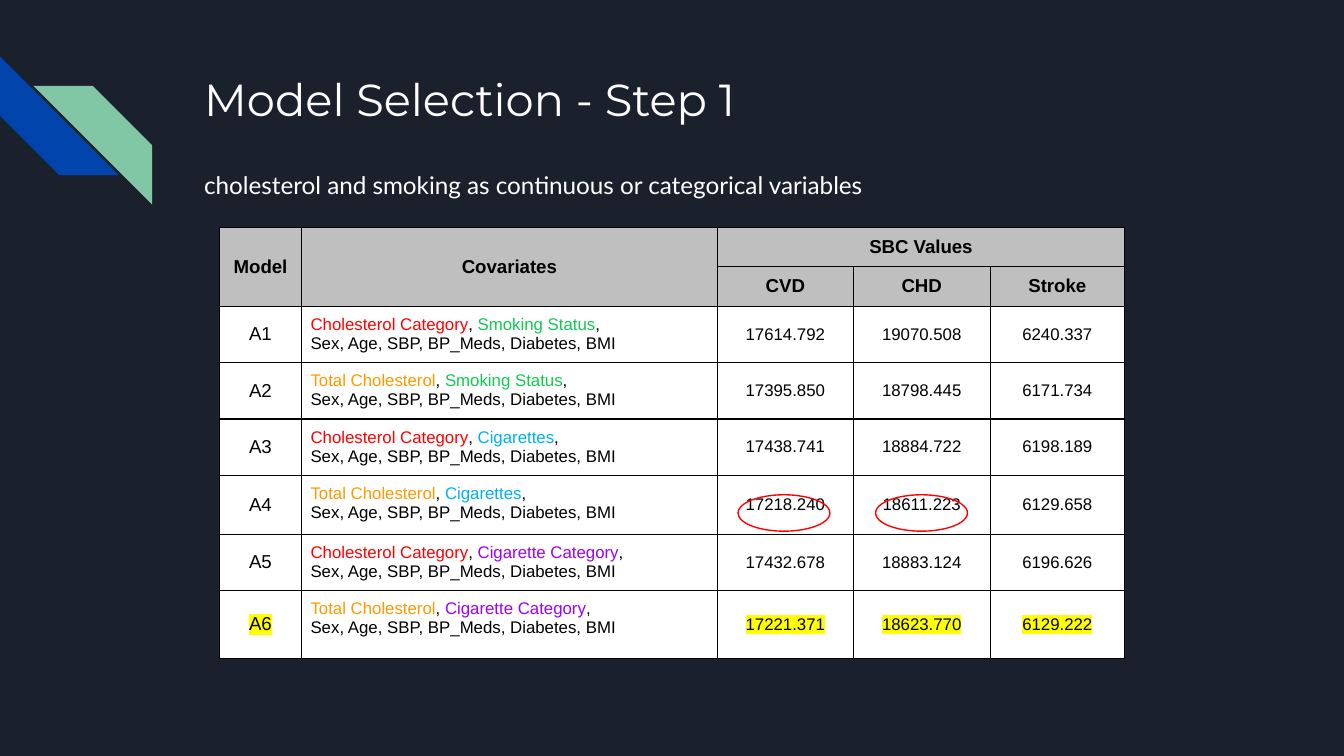
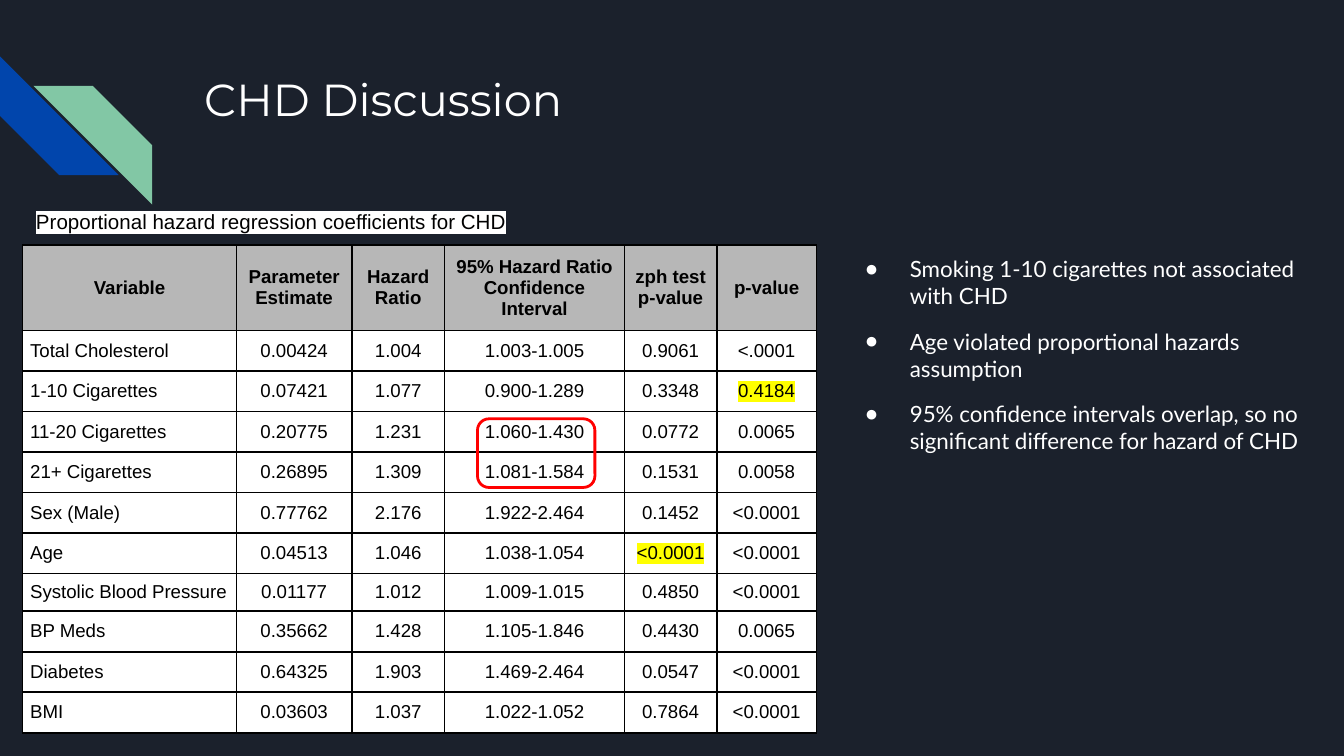
import pptx
import pptx.dml.color
import pptx.enum.shapes
import pptx.enum.text
import pptx.oxml
import pptx.oxml.ns
import pptx.util
from dataclasses import dataclass

Pt = pptx.util.Pt
RGB = pptx.dml.color.RGBColor.from_string
SHAPE = pptx.enum.shapes.MSO_SHAPE
ALIGN = pptx.enum.text.PP_ALIGN
ANCHOR = pptx.enum.text.MSO_ANCHOR
NS = pptx.oxml.ns.nsdecls("a")


@dataclass(frozen=True)
class Theme:
    background: str = "1B212C"
    blue: str = "0145AC"
    green: str = "82C7A5"
    white: str = "FFFFFF"
    black: str = "000000"
    red: str = "FF0000"
    yellow: str = "FFFF00"
    orange: str = "FF9900"
    smoking: str = "11CA51"
    cigarettes: str = "00B0F0"
    purple: str = "9900FF"
    sbc_header: str = "BFBFBF"
    chd_header: str = "B7B7B7"
    title_font: str = "Montserrat"
    body_font: str = "Lato"
    table_font: str = "Arial"
    title_size: float = 24
    lead_size: float = 13
    list_size: float = 12
    label_size: float = 11
    table_size: float = 10
    value_size: float = 9


T = Theme()


def add_run(p, text, size, font, color, bold=False, highlight=None):
    r = p.add_run()
    r.text = text
    r.font.size = Pt(size)
    r.font.name = font
    r.font.bold = bold
    r.font.color.rgb = RGB(color)
    if highlight:
        fill = r.font._element.find(pptx.oxml.ns.qn("a:solidFill"))
        fill.addnext(pptx.oxml.parse_xml(
            f'<a:highlight {NS}><a:srgbClr val="{highlight}"/></a:highlight>'))


def format_cell(cell, lines, size, fill, inset, border, align=ALIGN.CENTER,
                anchor=ANCHOR.MIDDLE, bold=False, highlight=None):
    cell.fill.solid()
    cell.fill.fore_color.rgb = RGB(fill)
    cell.vertical_anchor = anchor
    cell.margin_left = cell.margin_right = Pt(inset)
    cell.margin_top = cell.margin_bottom = Pt(inset)
    tcPr = cell._tc.get_or_add_tcPr()
    for i, side in enumerate(("lnL", "lnR", "lnT", "lnB")):
        tcPr.insert(i, pptx.oxml.parse_xml(
            f'<a:{side} {NS} w="{Pt(border)}"><a:solidFill>'
            f'<a:srgbClr val="{T.black}"/></a:solidFill></a:{side}>'))
    tf = cell.text_frame
    for i, runs in enumerate(lines):
        p = tf.add_paragraph() if i else tf.paragraphs[0]
        p.alignment = align
        for text, color in runs:
            add_run(p, text, size, T.table_font, color, bold, highlight)


prs = pptx.Presentation()
prs.slide_width, prs.slide_height = Pt(720), Pt(405)
prs.slide_master.background.fill.solid()
prs.slide_master.background.fill.fore_color.rgb = RGB(T.background)
layout = prs.slide_layouts[1]
title = layout.placeholders[0]
title.left, title.top, title.width, title.height = Pt(102.2), Pt(31), Pt(554.4), Pt(72)

slides = []
for heading in ("Model Selection - Step 1", "CHD Discussion"):
    s = prs.slides.add_slide(layout)
    tf = s.shapes.title.text_frame
    tf.vertical_anchor = ANCHOR.TOP
    for tf in (tf, s.placeholders[1].text_frame):
        tf.auto_size = pptx.enum.text.MSO_AUTO_SIZE.NONE
        tf.word_wrap = True
        tf.margin_left = tf.margin_right = Pt(7.2)
        tf.margin_top = tf.margin_bottom = Pt(7.2)
    p = s.shapes.title.text_frame.paragraphs[0]
    p.alignment = ALIGN.LEFT
    add_run(p, heading, T.title_size, T.title_font, T.white)
    slides.append(s)
selection, discussion = slides

for i, (x, y, color) in enumerate(((0, 30.2, T.blue), (18, 46.1, T.green))):
    sp = selection.shapes.add_shape(SHAPE.DIAGONAL_STRIPE, Pt(x), Pt(y), Pt(63.6), Pt(63.6))
    sp.adjustments[0] = 0.5
    sp.shadow.inherit = False
    sp.fill.solid()
    sp.fill.fore_color.rgb = RGB(color)
    sp.line.fill.background()
    if color == T.blue:
        sp.rotation = 270
    else:
        sp.element.spPr.get_or_add_xfrm().set("flipH", "1")
    layout.shapes.element.insert(2 + i, sp.element)

body = selection.placeholders[1]
body.left, body.top, body.width, body.height = Pt(102.2), Pt(81.4), Pt(554.4), Pt(229)
p = body.text_frame.paragraphs[0]
pPr = p._p.get_or_add_pPr()
pPr.set("marL", "0")
pPr.set("indent", "0")
pPr.append(pptx.oxml.parse_xml(f"<a:buNone {NS}/>"))
p.alignment = ALIGN.LEFT
p.line_spacing = 1.15
p.space_before, p.space_after = Pt(0), Pt(12)
add_run(p, "cholesterol and smoking as continuous or categorical variables",
        T.lead_size, T.body_font, T.white)

body = discussion.placeholders[1]
body.left, body.top, body.width, body.height = Pt(444.2), Pt(129.6), Pt(275.8), Pt(147)
tf = body.text_frame
for i, text in enumerate((
        "Smoking 1-10 cigarettes not associated with CHD",
        "Age violated proportional hazards assumption",
        "95% confidence intervals overlap, so no significant difference for hazard of CHD")):
    p = tf.add_paragraph() if i else tf.paragraphs[0]
    pPr = p._p.get_or_add_pPr()
    pPr.set("marL", str(Pt(36)))
    pPr.set("indent", str(Pt(-24)))
    pPr.append(pptx.oxml.parse_xml(
        f'<a:buClr {NS}><a:srgbClr val="{T.white}"/></a:buClr>'))
    pPr.append(pptx.oxml.parse_xml(f'<a:buChar {NS} char="●"/>'))
    p.alignment = ALIGN.LEFT
    p.space_before = Pt(10 if i else 0)
    add_run(p, text, T.list_size, T.body_font, T.white)

sp = discussion.shapes.add_textbox(Pt(12.2), Pt(103), Pt(318.2), Pt(28))
tf = sp.text_frame
tf.word_wrap = True
tf.margin_left = tf.margin_right = tf.margin_top = tf.margin_bottom = Pt(7.2)
p = tf.paragraphs[0]
p.line_spacing = 1.15
add_run(p, "Proportional hazard regression coefficients for CHD",
        T.label_size, T.table_font, T.black, highlight=T.white)

cholesterol = (("Cholesterol Category", T.red), ("Total Cholesterol", T.orange))
smoking = (("Smoking Status", T.smoking), ("Cigarettes", T.cigarettes),
           ("Cigarette Category", T.purple))
sbc_values = (
    ("17614.792", "19070.508", "6240.337"),
    ("17395.850", "18798.445", "6171.734"),
    ("17438.741", "18884.722", "6198.189"),
    ("17218.240", "18611.223", "6129.658"),
    ("17432.678", "18883.124", "6196.626"),
    ("17221.371", "18623.770", "6129.222"),
)
sbc_headers = (("Model", "Covariates", "SBC Values", "", ""),
               ("", "", "CVD", "CHD", "Stroke"))
sbc_widths = (43.9, 222.8, 72.9, 73.3, 72)
sbc_heights = (21.2, 21.2, 30.2, 30.2, 30.2, 31.6, 30.2, 36.2)

chd_headers = ("Variable", "Parameter Estimate", "Hazard Ratio",
               "95% Hazard Ratio Confidence Interval", "zph test p-value", "p-value")
chd_rows = (
    ("Total Cholesterol", "0.00424", "1.004", "1.003-1.005", "0.9061", "<.0001"),
    ("1-10 Cigarettes", "0.07421", "1.077", "0.900-1.289", "0.3348", "0.4184"),
    ("11-20 Cigarettes", "0.20775", "1.231", "1.060-1.430", "0.0772", "0.0065"),
    ("21+ Cigarettes", "0.26895", "1.309", "1.081-1.584", "0.1531", "0.0058"),
    ("Sex (Male)", "0.77762", "2.176", "1.922-2.464", "0.1452", "<0.0001"),
    ("Age", "0.04513", "1.046", "1.038-1.054", "<0.0001", "<0.0001"),
    ("Systolic Blood Pressure", "0.01177", "1.012", "1.009-1.015", "0.4850", "<0.0001"),
    ("BP Meds", "0.35662", "1.428", "1.105-1.846", "0.4430", "0.0065"),
    ("Diabetes", "0.64325", "1.903", "1.469-2.464", "0.0547", "<0.0001"),
    ("BMI", "0.03603", "1.037", "1.022-1.052", "0.7864", "<0.0001"),
)
chd_widths = (114.5, 61.9, 49.7, 96.3, 49.5, 53.4)
chd_heights = (46,) + (21.7,) * 6 + (20.1,) + (21.7,) * 3

tables = []
for s, x, y, widths, heights in ((selection, 117.6, 121.7, sbc_widths, sbc_heights),
                                 (discussion, 12.1, 131.2, chd_widths, chd_heights)):
    table = s.shapes.add_table(len(heights), len(widths), Pt(x), Pt(y),
                               Pt(sum(widths)), Pt(sum(heights))).table
    table.first_row = table.horz_banding = False
    for col, width in zip(table.columns, widths):
        col.width = Pt(width)
    for row, height in zip(table.rows, heights):
        row.height = Pt(height)
    tables.append(table)
sbc, chd = tables

for i, headers in enumerate(sbc_headers):
    for j, text in enumerate(headers):
        format_cell(sbc.cell(i, j), [[(text, T.black)]] if text else [],
                    T.table_size, T.sbc_header, 4.9, 0.75, bold=True)
for first, last in (((0, 0), (1, 0)), ((0, 1), (1, 1)), ((0, 2), (0, 4))):
    sbc.cell(*first).merge(sbc.cell(*last))

for i, values in enumerate(sbc_values):
    highlight = T.yellow if i == len(sbc_values) - 1 else None
    format_cell(sbc.cell(i + 2, 0), [[(f"A{i + 1}", T.black)]], T.table_size,
                T.white, 4.9, 0.75, highlight=highlight)
    covariates = [[cholesterol[i % 2], (", ", T.black), smoking[i // 2], (",", T.black)],
                  [("Sex, Age, SBP, BP_Meds, Diabetes, BMI", T.black)]]
    format_cell(sbc.cell(i + 2, 1), covariates, T.value_size, T.white, 4.9, 0.75,
                ALIGN.LEFT, ANCHOR.TOP)
    for j, value in enumerate(values):
        format_cell(sbc.cell(i + 2, j + 2), [[(value, T.black)]], T.value_size,
                    T.white, 4.9, 0.75, highlight=highlight)

for j, text in enumerate(chd_headers):
    format_cell(chd.cell(0, j), [[(text, T.black)]], T.table_size, T.chd_header,
                4.9, 1, bold=True)
for i, values in enumerate(chd_rows, 1):
    for j, value in enumerate(values):
        format_cell(chd.cell(i, j), [[(value, T.black)]], T.table_size, T.white, 4.1, 1,
                    ALIGN.CENTER if j else ALIGN.LEFT,
                    highlight=T.yellow if (i, j) in ((2, 5), (6, 4)) else None)

for s, kind, x, y, w, h, weight in (
        (selection, SHAPE.OVAL, 395.4, 265.1, 49.2, 19.5, 0.75),
        (selection, SHAPE.OVAL, 469.1, 265.1, 49.2, 19.5, 0.75),
        (discussion, SHAPE.ROUNDED_RECTANGLE, 255.8, 224.4, 62.9, 36.8, 1.5)):
    sp = s.shapes.add_shape(kind, Pt(x), Pt(y), Pt(w), Pt(h))
    sp.shadow.inherit = False
    sp.fill.background()
    sp.line.color.rgb = RGB(T.red)
    sp.line.width = Pt(weight)

prs.save("out.pptx")
